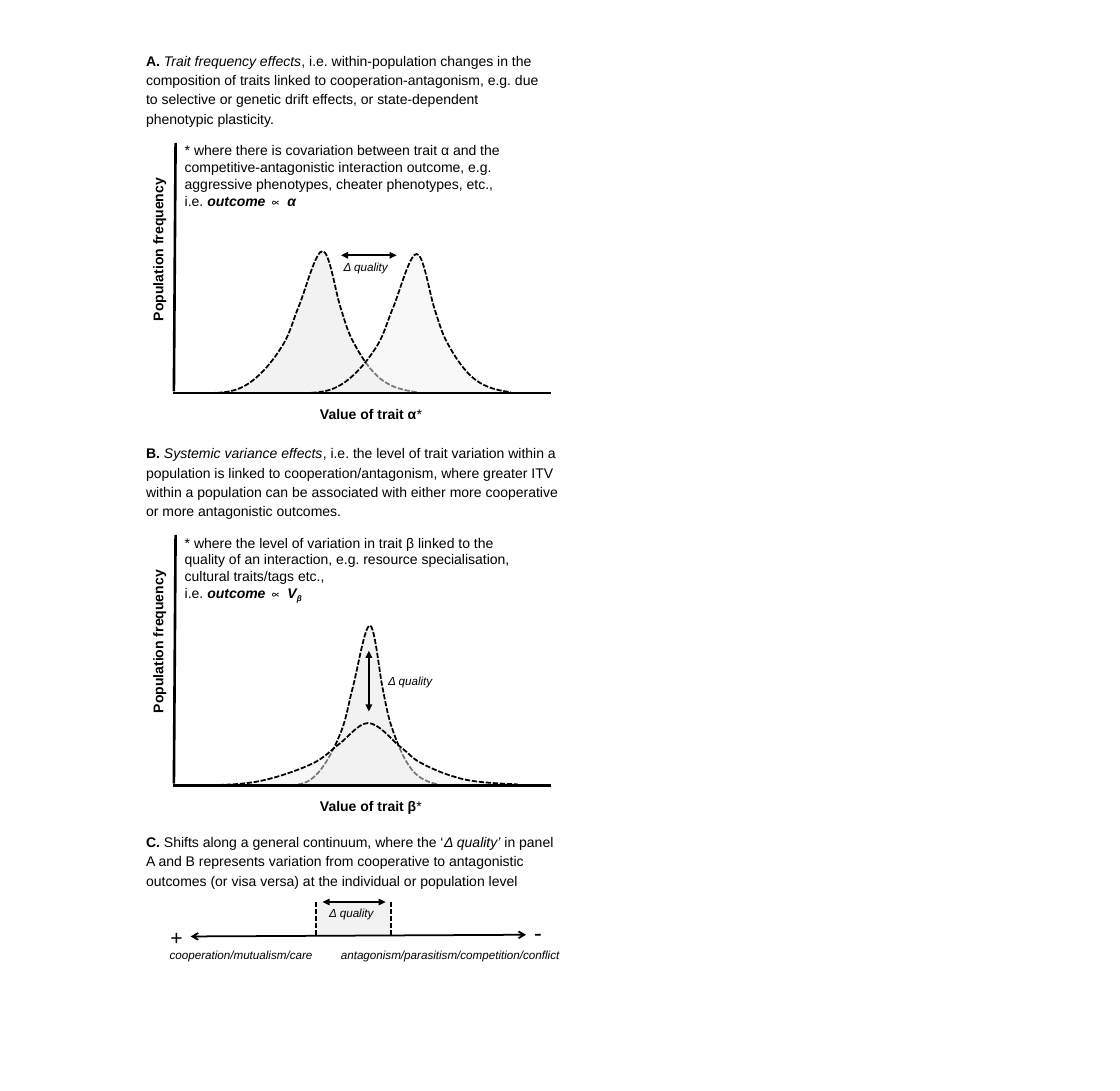
from lxml import etree
from pptx import Presentation
from pptx.dml.color import RGBColor
from pptx.enum import dml, shapes, text
from pptx.oxml import ns
from pptx.util import Inches, Pt

BLACK, GREY = "000000", "F2F2F2"
HEADING_SPACING, LABEL_SPACING = 1.14, 1.5

# Bezier points as (distance from the left foot, height), in inches
STEEP_BELL = [
    (0, 0), (.18, 0), (.35, 0), (.5, .09), (.66, .18), (.82, .37), (.92, .53),
    (1.03, .69), (1.06, .85), (1.14, 1.04), (1.22, 1.24), (1.34, 1.7), (1.42, 1.69),
    (1.5, 1.69), (1.57, 1.22), (1.63, 1.03), (1.69, .84), (1.72, .72), (1.8, .58),
    (1.88, .43), (1.99, .26), (2.12, .16), (2.25, .06), (2.4, .03), (2.54, .01)]
FLAT_BELL = [
    (0, 0), (.26, 0), (.53, 0), (.77, .04), (1, .08), (1.25, .17), (1.41, .24),
    (1.57, .31), (1.63, .38), (1.74, .47), (1.86, .55), (1.99, .74), (2.11, .74),
    (2.24, .74), (2.39, .54), (2.49, .46), (2.6, .38), (2.63, .32), (2.75, .26),
    (2.88, .19), (3.05, .12), (3.25, .07), (3.44, .03), (3.68, .02), (3.89, .01)]

PANELS = [
    dict(
        top=.55, width=4.93, trait="α",
        heading=[("A. ", "b"), ("Trait frequency effects", "i"),
                 (", i.e. within-population changes in the composition of traits linked to "
                  "cooperation-antagonism, e.g. due to selective or genetic drift effects, "
                  "or state-dependent phenotypic plasticity.", "")],
        note=[[("* where there is covariation between trait α and the competitive-antagonistic "
                "interaction outcome, e.g. aggressive phenotypes, cheater phenotypes, etc.,", "")],
              [("i.e. ", ""), ("outcome ∝ α", "bi")]],
        bells=[(STEEP_BELL, .78, 1, 1, 100), (STEEP_BELL, 1.9, 1, .98, 50)],
        arrow=(2.42, 2.49, 3.08, 2.49), arrow_label=(2.35, 2.5)),
    dict(
        top=5.22, width=5.15, trait="β",
        heading=[("B. ", "b"), ("Systemic variance effects", "i"),
                 (", i.e. the level of trait variation within a population is linked to "
                  "cooperation/antagonism, where greater ITV within a population can be "
                  "associated with either more cooperative or more antagonistic outcomes.", "")],
        note=[[("* where the level of variation in trait β linked to the quality of an "
                "interaction, e.g. resource specialisation, cultural traits/tags etc.,", "")],
              [("i.e. ", ""), ("outcome ∝ V", "bi"), ("β", "bi_")]],
        bells=[(STEEP_BELL, 1.74, .72, 1.125, 100), (FLAT_BELL, .63, 1, 1, 50)],
        arrow=(2.75, 2.53, 2.75, 3.25), arrow_label=(2.88, 2.75)),
]


def set_color(fill, color):
    fill.solid()
    fill.fore_color.rgb = RGBColor.from_string(color)


def add_text(slide, left, top, width, height, paragraphs, size=12, spacing=1, after=0):
    """Add a text box; each run is (words, style), where b, i and _ mean bold, italic, subscript."""
    box = slide.shapes.add_textbox(*map(Inches, (left, top, width, height)))
    frame = box.text_frame
    frame.word_wrap = True
    frame.auto_size = text.MSO_AUTO_SIZE.SHAPE_TO_FIT_TEXT
    for index, runs in enumerate(paragraphs):
        paragraph = frame.add_paragraph() if index else frame.paragraphs[0]
        paragraph.line_spacing = spacing
        paragraph.space_after = Pt(after)
        for words, style in runs:
            run = paragraph.add_run()
            run.text = words
            run.font.name = "Arial"
            run.font.size = Pt(size)
            run.font.bold = "b" in style
            run.font.italic = "i" in style
            set_color(run.font.fill, BLACK)
            if "_" in style:
                run._r.get_or_add_rPr().set("baseline", "-25000")
    return box


def add_quality_label(slide, left, top, width=1.55):
    add_text(slide, left, top, width, .27, [[("Δ quality", "i")]], size=10)


def add_line(slide, x1, y1, x2, y2, weight=1.5, heads=None, dashed=False):
    line = slide.shapes.add_connector(
        shapes.MSO_CONNECTOR.STRAIGHT, *map(Inches, (x1, y1, x2, y2)))
    set_color(line.line.fill, BLACK)
    line.line.width = Pt(weight)
    if dashed:
        line.line.dash_style = dml.MSO_LINE.SQUARE_DOT
    if heads:
        for end in ("a:headEnd", "a:tailEnd"):
            etree.SubElement(line.line._get_or_add_ln(), ns.qn(end)).set("type", heads)
    etree.SubElement(line._element.spPr, ns.qn("a:effectLst"))


def add_bell(slide, left, base, points, x_scale, y_scale, opacity):
    """Draw a dashed, filled curve through Bezier points standing on the base."""
    places = [(Inches(left + x * x_scale), Inches(base - y * y_scale)) for x, y in points]
    builder = slide.shapes.build_freeform(*places[0])
    builder.add_line_segments(places[1:], close=False)
    bell = builder.convert_to_shape()
    bell.shadow.inherit = False
    set_color(bell.fill, GREY)
    set_color(bell.line.fill, BLACK)
    bell.line.width = Pt(1.5)
    bell.line.dash_style = dml.MSO_LINE.SQUARE_DOT
    properties = bell._element.spPr
    if opacity < 100:
        color = properties.find(ns.qn("a:solidFill"))[0]
        etree.SubElement(color, ns.qn("a:alpha")).set("val", str(opacity * 1000))
    segments = list(properties.iter(ns.qn("a:lnTo")))
    outline = segments[0].getparent()
    for start in range(0, len(segments), 3):
        curve = etree.SubElement(outline, ns.qn("a:cubicBezTo"))
        for segment in segments[start:start + 3]:
            curve.append(segment[0])
            outline.remove(segment)


def add_frequency_panel(slide, left, top, panel):
    base = top + 4.13
    add_text(slide, left, top, panel["width"], 1.02, [panel["heading"]], spacing=HEADING_SPACING)
    add_line(slide, left + .45, top + 1.15, left + .43, base - .02, 2.25)
    for points, offset, x_scale, y_scale, opacity in panel["bells"]:
        add_bell(slide, left + offset, base, points, x_scale, y_scale, opacity)
    add_line(slide, left + .42, base, left + 4.92, base, 2.25)
    add_text(slide, left + 2.07, base, 1.49, .4,
             [[("Value of trait " + panel["trait"], "b"), ("*", "")]], spacing=LABEL_SPACING)
    axis_title = add_text(slide, left - .8, top + 2.18, 1.98, .4,
                          [[("Population frequency", "b")]], spacing=LABEL_SPACING)
    axis_title.rotation = 270
    add_text(slide, left + .46, top + 1.09, 4.19, .91, panel["note"])
    x1, y1, x2, y2 = panel["arrow"]
    add_line(slide, left + x1, top + y1, left + x2, top + y2, heads="triangle")
    label_x, label_y = panel["arrow_label"]
    add_quality_label(slide, left + label_x, top + label_y)


def add_continuum_panel(slide, left, top):
    band_left, band_top, band_width = left + 2.11, top + .89, .9
    band = slide.shapes.add_shape(
        shapes.MSO_SHAPE.RECTANGLE, *map(Inches, (band_left, band_top, band_width, .4)))
    band.shadow.inherit = False
    set_color(band.fill, GREY)
    band.line.fill.background()
    add_text(slide, left, top, 5.12, .79, [[
        ("C. ", "b"), ("Shifts along a general continuum, where the ‘", ""),
        ("Δ quality’", "i"),
        (" in panel A and B represents variation from cooperative to antagonistic outcomes "
         "(or visa versa) at the individual or population level", "")]], spacing=HEADING_SPACING)
    add_text(slide, left + .28, top + 1.36, 5.3, .29,
             [[("cooperation/mutualism/care \t antagonism/parasitism/competition/conflict", "i")]],
             size=10, spacing=HEADING_SPACING, after=6)
    for sign, x, y, size in (("-", 4.62, .99, 20), ("+", .29, 1.07, 18)):
        add_text(slide, left + x, top + y, .35, .45, [[(sign, "")]], size, HEADING_SPACING)
    add_line(slide, left + 4.62, top + 1.28, left + .63, top + 1.3, heads="arrow")
    add_quality_label(slide, band_left + .07, band_top, .98)
    add_line(slide, band_left + .84, band_top, band_left + .09, band_top, heads="triangle")
    for x in (band_left + .01, band_left + band_width):
        add_line(slide, x, band_top, x, band_top + .4, dashed=True)


def main():
    presentation = Presentation()
    presentation.slide_width, presentation.slide_height = Inches(13.33), Inches(12.99)
    slide = presentation.slides.add_slide(presentation.slide_layouts[6])
    left = 1.64
    for panel in PANELS:
        add_frequency_panel(slide, left, panel["top"], panel)
    add_continuum_panel(slide, left, 9.85)
    presentation.save("out.pptx")


if __name__ == "__main__":
    main()
